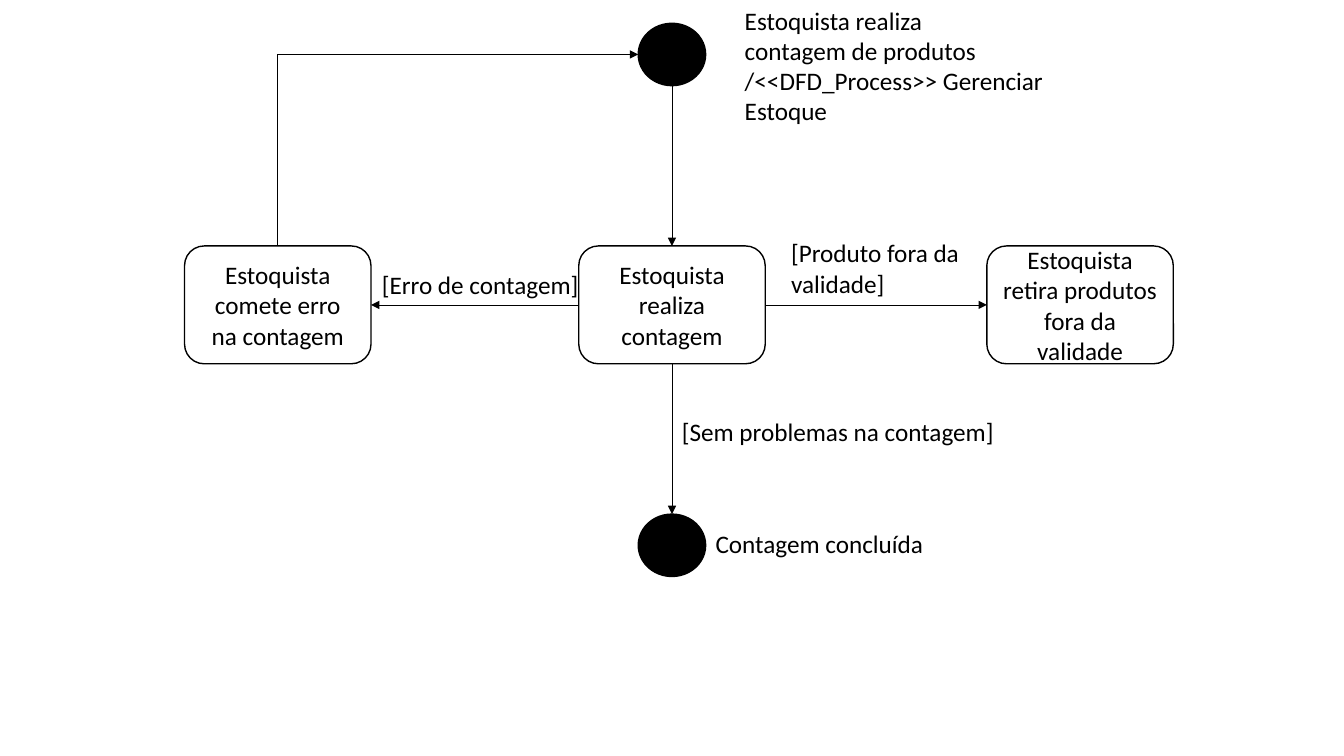
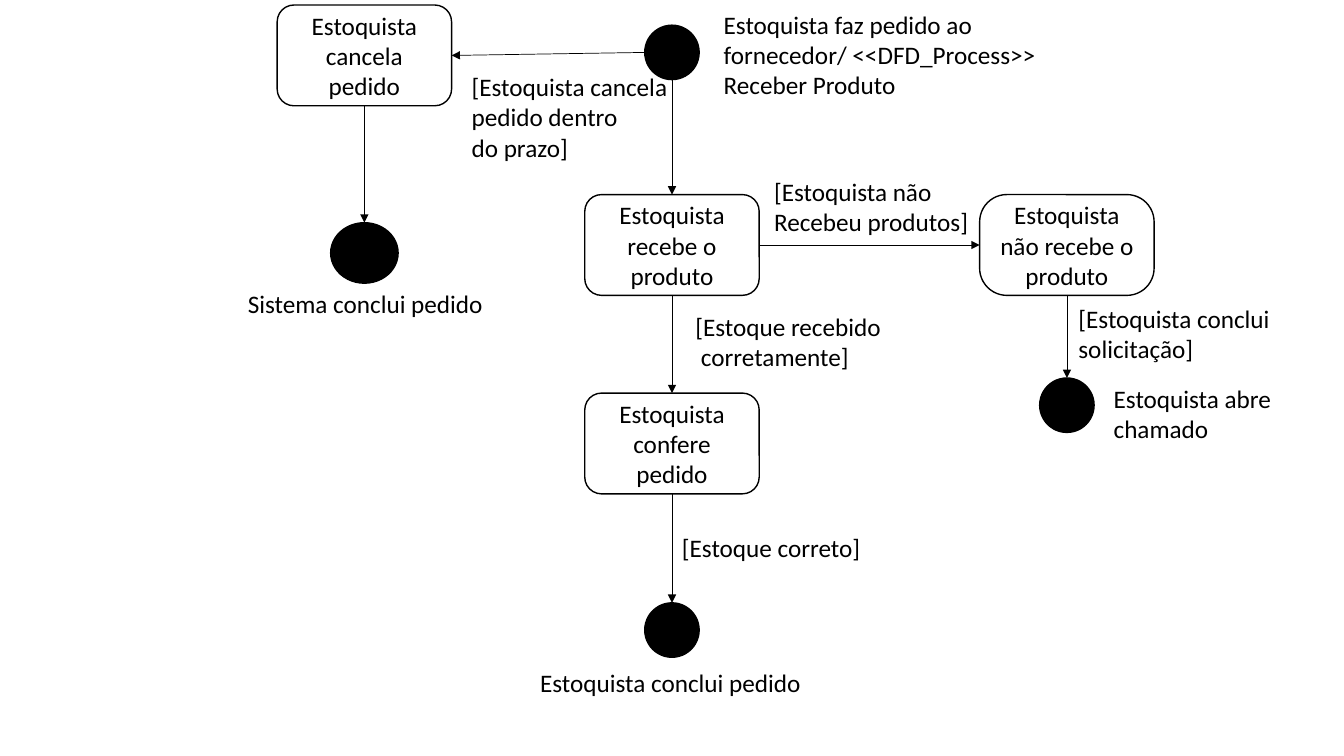
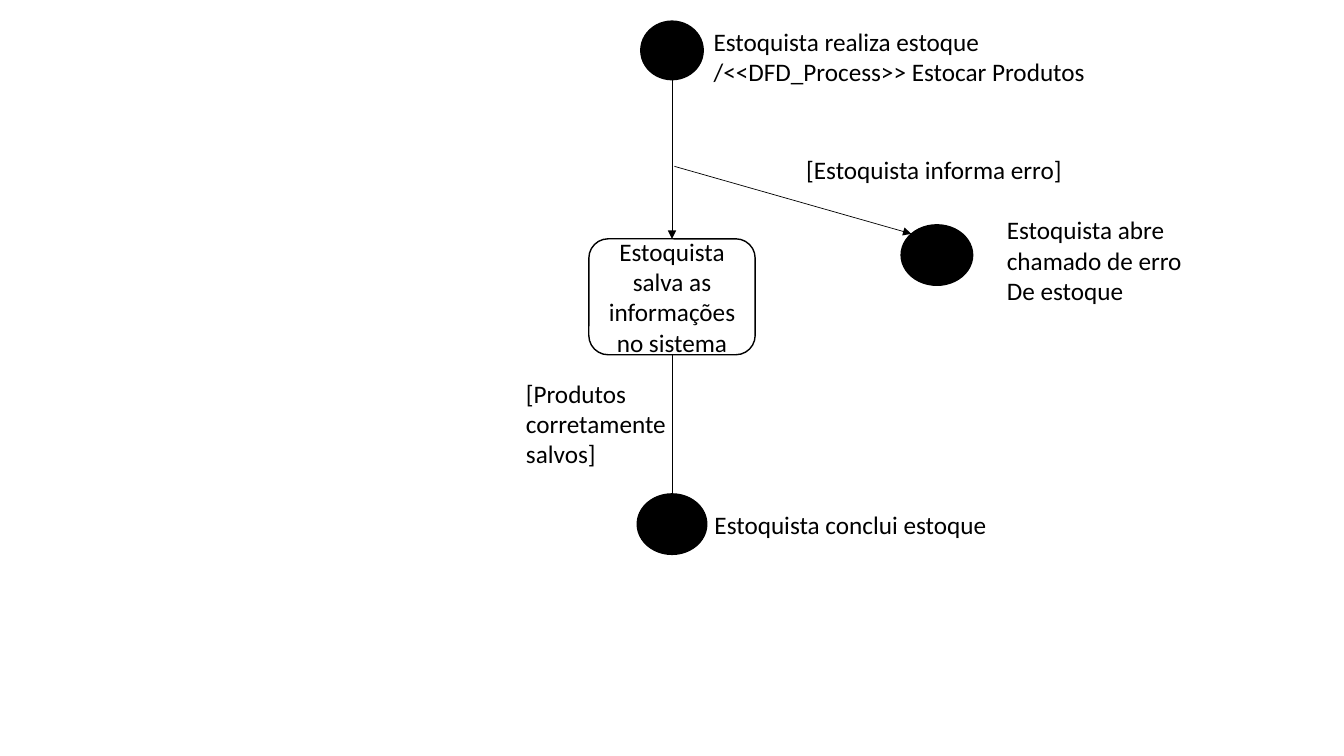
from lxml.etree import SubElement
from pptx import Presentation
from pptx.dml.color import RGBColor
from pptx.enum.shapes import MSO_CONNECTOR, MSO_SHAPE
from pptx.enum.text import MSO_ANCHOR, MSO_AUTO_SIZE, PP_ALIGN
from pptx.oxml.ns import qn
from pptx.util import Pt

BLACK = RGBColor(0, 0, 0)
WHITE = RGBColor(255, 255, 255)
FONT = "Calibri"
AXIS = 480  # centre of the main column, in points
LINE = 21.6  # height of one text line, in points
SITES = {"top": (0.5, 0, 0), "left": (0, 0.5, 1),
         "bottom": (0.5, 1, 2), "right": (1, 0.5, 3)}


def write(frame, words, size=18, color=BLACK, align=PP_ALIGN.LEFT,
          anchor=MSO_ANCHOR.TOP, wrap=True):
    """Fill a text frame, one paragraph for each line of words."""
    frame.text = words
    frame.word_wrap = wrap
    frame.vertical_anchor = anchor
    for para in frame.paragraphs:
        para.alignment = align
        font = para.font
        font.name, font.size, font.color.rgb = FONT, Pt(size), color


def node(slide, kind, mid, top, size, fill):
    """Draw a flat outlined shape centred on mid."""
    wide, high = size
    shape = slide.shapes.add_shape(
        kind, Pt(mid - wide / 2), Pt(top), Pt(wide), Pt(high))
    shape.shadow.inherit = False
    shape.fill.solid()
    shape.fill.fore_color.rgb = fill
    shape.line.color.rgb = BLACK
    shape.line.width = Pt(1)
    return shape


def dot(slide, mid, top, size):
    """Draw a start or end state."""
    return node(slide, MSO_SHAPE.OVAL, mid, top, size, BLACK)


def state(slide, words, mid, top, size, round=None):
    """Draw a rounded state box with centred text."""
    box = node(slide, MSO_SHAPE.ROUNDED_RECTANGLE, mid, top, size, WHITE)
    if round:
        box.adjustments[0] = round
    write(box.text_frame, words, align=PP_ALIGN.CENTER,
          anchor=MSO_ANCHOR.MIDDLE)
    return box


def label(slide, words, left, top, wide, rows=None, wrap=False):
    """Place a caption whose height follows its number of lines."""
    rows = rows or words.count("\n") + 1
    box = slide.shapes.add_textbox(
        Pt(left), Pt(top), Pt(wide), Pt(7.2 + rows * LINE))
    write(box.text_frame, words, wrap=wrap)
    box.text_frame.auto_size = MSO_AUTO_SIZE.SHAPE_TO_FIT_TEXT


def spot(shape, side):
    """Return the middle of one side of a shape."""
    across, down, _ = SITES[side]
    return (int(shape.left + across * shape.width),
            int(shape.top + down * shape.height))


def ink(path):
    """Give a line its thin stroke and arrowhead, without shadow."""
    path.line.color.rgb = BLACK
    path.line.width = Pt(0.5)
    props = path.element.spPr
    SubElement(props.find(qn("a:ln")), qn("a:tailEnd"), type="triangle")
    SubElement(props, qn("a:effectLst"))


def arrow(slide, start, end):
    """Draw a straight arrow between two points."""
    path = slide.shapes.add_connector(MSO_CONNECTOR.STRAIGHT, *start, *end)
    ink(path)
    return path


def link(slide, first, last, out="bottom", into="top"):
    """Join two nodes with an arrow, glued where the sites allow it."""
    path = arrow(slide, spot(first, out), spot(last, into))
    for shape, side, glue in ((first, out, path.begin_connect),
                              (last, into, path.end_connect)):
        if side == "top" or shape.auto_shape_type != MSO_SHAPE.OVAL:
            glue(shape, SITES[side][2])


def bend(slide, first, last):
    """Draw an arrow up from first, then right into last."""
    start, end = spot(first, "top"), spot(last, "left")
    pen = slide.shapes.build_freeform(*start, scale=1.0)
    pen.add_line_segments([(start[0], end[1]), end], close=False)
    path = pen.convert_to_shape()
    path.fill.background()
    ink(path)


def count(slide):
    """Draw the stock count states."""
    ball, size, row = (48.2, 44.6), (133.2, 84.2), 175.7
    start = dot(slide, AXIS, 16.6, ball)
    done = dot(slide, AXIS, 367.2, ball)
    tally = state(slide, "Estoquista realiza contagem", AXIS, row, size)
    drop = state(slide, "Estoquista retira produtos fora da validade",
                 771.5, row, size)
    error = state(slide, "Estoquista comete erro na contagem",
                  198.4, row, size)
    link(slide, start, tally)
    link(slide, tally, done)
    link(slide, tally, drop, "right", "left")
    link(slide, tally, error, "left", "right")
    bend(slide, error, start)
    label(slide, "Estoquista realiza\ncontagem de produtos\n"
          "/<<DFD_Process>> Gerenciar\nEstoque", 524.9, 0, 230.4)
    label(slide, "Contagem concluída", 504, 373.7, 164.9)
    label(slide, "[Erro de contagem]", 265.7, 188.6, 156.2)
    label(slide, "[Produto fora da\nvalidade]", 558, 166.3, 136.1)
    label(slide, "[Sem problemas na contagem]", AXIS, 293.8, 239.8)


def order(slide):
    """Draw the purchase order states."""
    ball, size, row = (38.9, 38.9), (124.6, 72), 139
    west, east = 260.3, 762.1
    start = dot(slide, AXIS, 18, ball)
    done = dot(slide, AXIS, 430.6, ball)
    call = dot(slide, east, 270, ball)
    close = dot(slide, west, 159.1, (48.2, 43.2))
    get = state(slide, "Estoquista recebe o produto", AXIS, row, size)
    check = state(slide, "Estoquista confere pedido", AXIS, 280.8, size)
    miss = state(slide, "Estoquista não recebe o produto", east, row, size,
                 round=0.27)
    stop = state(slide, "Estoquista cancela pedido", west, 3.6, size)
    for first, last in ((start, get), (get, check), (check, done),
                        (miss, call), (stop, close)):
        link(slide, first, last)
    link(slide, start, stop, "left", "right")
    link(slide, get, miss, "right", "left")
    label(slide, "Estoquista faz pedido ao fornecedor/ <<DFD_Process>>\n"
          "Receber Produto", 509.8, 2.9, 272.2, rows=3, wrap=True)
    label(slide, "Estoquista abre\nchamado", 788.4, 270, 132.5)
    label(slide, "Estoquista conclui pedido", 378.7, 473, 203)
    label(slide, "Sistema conclui pedido", 169.9, 202.3, 184.3)
    label(slide, "[Estoque correto]", AXIS, 376.6, 143.3)
    label(slide, "[Estoque recebido\n corretamente]", 489.6, 218.9, 148.3)
    label(slide, "[Estoquista conclui\nsolicitação]", 763.2, 213.1, 157)
    label(slide, "[Estoquista não\nRecebeu produtos]", 545.8, 122.4, 154.8)
    label(slide, "[Estoquista cancela\npedido dentro\ndo prazo]",
          329.8, 47.5, 155.5)


def store(slide):
    """Draw the stocking states."""
    start = dot(slide, AXIS, 15.1, (44.6, 41.8))
    save = state(slide, "Estoquista salva as informações no sistema",
                 AXIS, 170.6, (118.8, 82.8))
    link(slide, start, save)
    arrow(slide, spot(save, "bottom"), (Pt(AXIS), Pt(363)))
    dot(slide, AXIS, 352.8, (49.7, 43.2))
    dot(slide, 669.2, 160.6, (51.1, 43.2))
    arrow(slide, (Pt(481.7), Pt(118.8)), (Pt(651), Pt(167)))
    label(slide, "Estoquista realiza estoque\n"
          "/<<DFD_Process>> Estocar Produtos", 502.6, 15.1, 282.2)
    label(slide, "Estoquista abre\nchamado de erro\nDe estoque",
          712.1, 149.8, 145.4)
    label(slide, "Estoquista conclui estoque", 503.3, 360, 211)
    label(slide, "[Produtos\ncorretamente\nsalvos]", 368.6, 266.4, 119.5)
    label(slide, "[Estoquista informa erro]", 568.8, 106.6, 198.7)


def main():
    """Build and save the deck."""
    deck = Presentation()
    deck.slide_width, deck.slide_height = Pt(960), Pt(540)
    blank = deck.slide_layouts[6]
    for draw in (count, order, store):
        draw(deck.slides.add_slide(blank))
    deck.save("out.pptx")


main()
